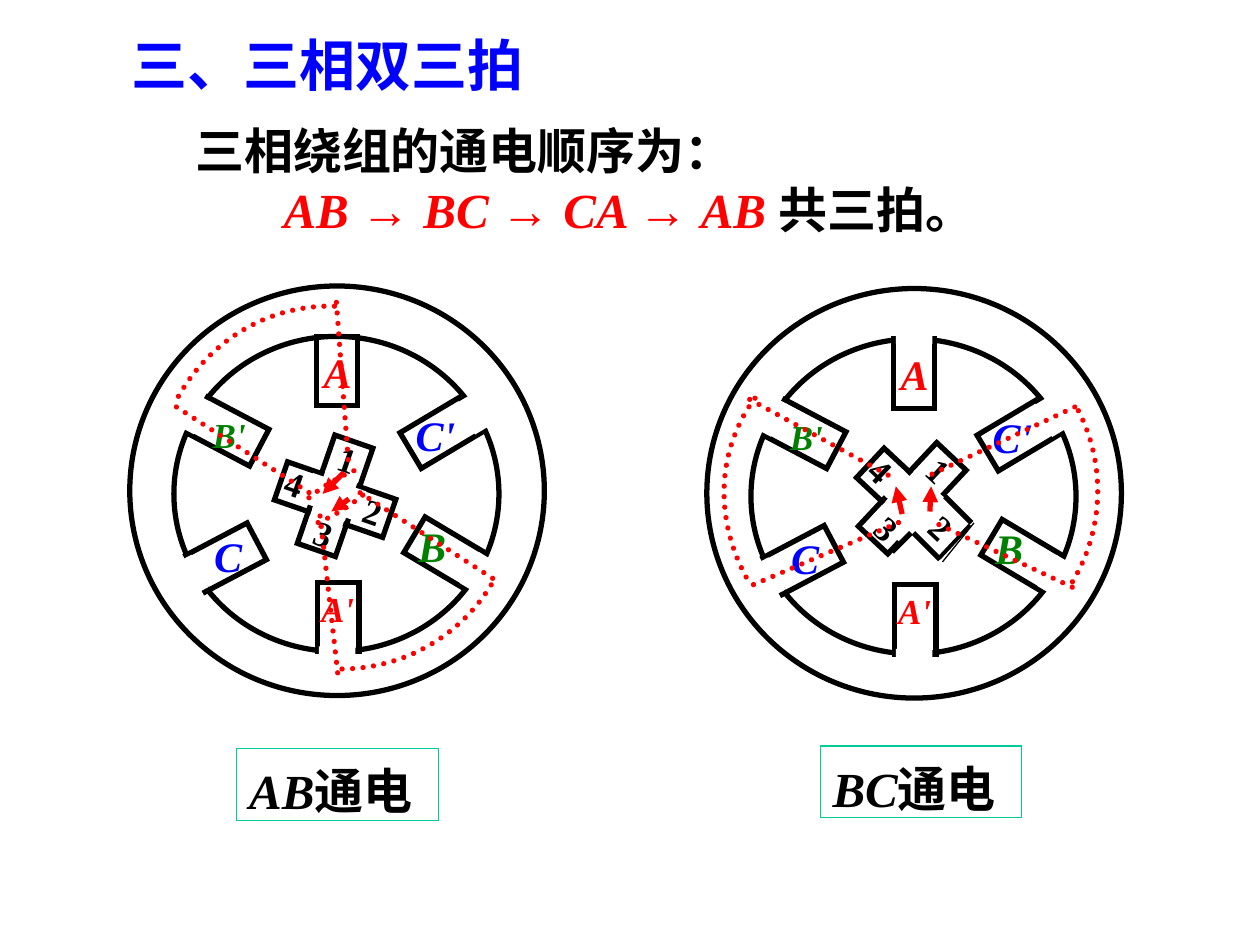
from lxml import etree
from pptx import Presentation
from pptx.dml.color import RGBColor
from pptx.enum.dml import MSO_LINE
from pptx.enum.shapes import MSO_CONNECTOR, MSO_SHAPE
from pptx.enum.text import MSO_ANCHOR, MSO_AUTO_SIZE, PP_ALIGN
from pptx.oxml.ns import qn
from pptx.util import Inches, Pt

RECTANGLE, OVAL, ARC = MSO_SHAPE.RECTANGLE, MSO_SHAPE.OVAL, MSO_SHAPE.ARC
STRAIGHT = MSO_CONNECTOR.STRAIGHT
ROUND_DOT = MSO_LINE.ROUND_DOT
TOP = MSO_ANCHOR.TOP
NO_AUTOFIT = MSO_AUTO_SIZE.NONE
LEFT, JUSTIFY = PP_ALIGN.LEFT, PP_ALIGN.JUSTIFY

COLORS = {"black": "000000", "white": "FFFFFF", "red": "FF0000",
          "blue": "0000FF", "green": "008000", "teal": "00CC99"}
SERIF, SANS, CHINESE = "Times New Roman", "Arial", "Noto Sans CJK SC"
COLUMNS, ROWS = 100, 75
LINE_SPACING = 1.2

# Stator parts in grid cells, placed for the left motor: left, top, rotation.
SLOTS = [(25.1, 26.7, 0), (25.2, 46.2, 0), (33.3, 31.6, 239.2),
         (16.5, 31.5, 297.8), (33.6, 41.1, 120.8), (16.3, 41.5, 62.2)]
TOP_MOUTH = (25.3, 24.8, 0)
MOUTHS = [(25.3, 51.3, 0), (36.5, 31.5, 239.2), (13.6, 31.5, 297.8),
          (36.8, 44.5, 120.8), (13.4, 44.7, 62.2)]
# Text, left, top, width, height, size, color.
WINDINGS = [("C", 16, 41.6, 5.9, 5, 24, "blue"), ("A'", 24.5, 46.1, 4.6, 4.4, 20, "red"),
            ("B", 32.2, 40.8, 4.2, 5, 24, "green"), ("B'", 15.9, 32.3, 4.6, 4.4, 20, "green"),
            ("C'", 32, 32, 5.1, 5, 24, "blue"), ("A", 24.7, 27, 4.2, 5, 24, "red")]

# Steps: "hub" holds the two white boxes that open the middle of the rotor cross,
# "flux_arcs" hold box, rotation, start and end angle.
AB_STEP = {
    "offset": (0, 0), "angle": 19.1, "mouths": MOUTHS,
    "hub": [(25, 37.5, 2.7, 5), (24.3, 38.2, 4.5, 2.5)],
    "teeth": [("3", 24, 40.2), ("4", 21.7, 36.2), ("1", 25.9, 34.3), ("2", 27.9, 38.4)],
    "flux_arcs": [((12.2, 24.3, 27.9, 29.3), 0, 212, 274),
                  ((19.5, 36.3, 27.9, 27.7), 0, 230, 248),
                  ((13.1, 25.4, 27.9, 27.7), 0, 31, 92),
                  ((5.8, 14.9, 27.9, 27.7), 0, 49.4, 67.8)],
    "flux_lines": [(14, 32.3, 25, 39.4), (26.7, 24, 27.7, 37.3),
                   (39.1, 45.9, 28.1, 38.8), (26.8, 53.4, 25.4, 40.9)],
    "arrows": [(27.3, 37.5, 25.6, 39.2), (27.7, 39.6, 26.3, 40.6)],
    "edges": [], "label": ("AB", 18.8, 59.4),
}
BC_STEP = {
    "offset": (45.8, 0.2), "angle": 43.1, "mouths": [TOP_MOUTH] + MOUTHS,
    "hub": [(70.1, 38.7, 6, 5), (70.1, 38.4, 4.5, 2.5)],
    "teeth": [("3", 68.7, 39.8), ("4", 68.2, 35.2), ("1", 72.8, 35.2), ("2", 73, 39.7)],
    "flux_arcs": [((58.4, 25.6, 26.7, 29.3), 303.1, 213, 274.4),
                  ((59.3, 25.2, 27.9, 27.7), 302, 30.4, 92.1)],
    "flux_lines": [(59.8, 46.4, 71.5, 41.4), (59.5, 31.7, 71.2, 38.1),
                   (85.3, 32.3, 73.4, 37.9), (85.1, 46.6, 73.8, 41.3)],
    "arrows": [(71.6, 40.8, 71.1, 38.6), (73.8, 40.6, 73.9, 38.6)],
    "edges": [(75, 39.4, 77.1, 41.5, 3), (72.5, 42.3, 74.6, 44.4, 3),
              (77.3, 41.5, 74.8, 44.6, 0.75), (72.3, 42.3, 70.8, 43.8, 3)],
    "label": ("BC", 65.1, 59.2),
}


def rgb(name):
    return RGBColor.from_string(COLORS[name])


class MotorSlide:
    """Draws on one slide, with lengths in cells of the grid."""

    def __init__(self, presentation):
        self.cell_width = presentation.slide_width / COLUMNS
        self.cell_height = presentation.slide_height / ROWS
        self.slide = presentation.slides.add_slide(presentation.slide_layouts[1])
        self.shapes = self.slide.shapes

    def to_emu(self, *lengths):
        """Turn alternating columns and rows into slide lengths."""
        cells = (self.cell_width, self.cell_height)
        return [round(length * cells[i % 2]) for i, length in enumerate(lengths)]

    def outline(self, shape, color, width, dotted=False, arrow=False):
        shape.line.color.rgb = rgb(color)
        shape.line.width = Pt(width)
        if dotted:
            shape.line.dash_style = ROUND_DOT
        line = shape.element.spPr.find(qn("a:ln"))
        if dotted:
            line.set("cap", "rnd")
        etree.SubElement(line, qn("a:round" if dotted else "a:miter"))
        if arrow:
            etree.SubElement(line, qn("a:tailEnd"), type="triangle")

    def shape(self, kind, box, rotation=0, fill=None, line=None, width=3, dotted=False):
        shape = self.shapes.add_shape(kind, *self.to_emu(*box))
        shape.rotation = rotation
        shape.shadow.inherit = False
        if fill:
            shape.fill.solid()
            shape.fill.fore_color.rgb = rgb(fill)
        else:
            shape.fill.background()
        if line:
            self.outline(shape, line, width, dotted)
        else:
            shape.line.fill.background()
        return shape

    def arc(self, box, rotation, start, end):
        shape = self.shape(ARC, box, rotation, line="red", dotted=True)
        for index, angle in enumerate((start, end)):
            shape.adjustments[index] = angle * 0.6  # 60000 units a degree, scaled by 100000

    def line(self, ends, color="red", width=3, dotted=False, arrow=False):
        connector = self.shapes.add_connector(STRAIGHT, *self.to_emu(*ends))
        self.outline(connector, color, width, dotted, arrow)
        etree.SubElement(connector.element.spPr, qn("a:effectLst"))

    def frame(self, shape, wrap=True, top_inset=0.05):
        frame = shape.text_frame
        frame.word_wrap = wrap
        frame.auto_size = NO_AUTOFIT
        frame.vertical_anchor = TOP
        frame.margin_left = frame.margin_right = Inches(0.1)
        frame.margin_top, frame.margin_bottom = Inches(top_inset), Inches(0.05)
        return frame

    def add_runs(self, paragraph, pieces, size, spaced=False, align=LEFT):
        """Add runs given as text, font, color and italic."""
        paragraph.alignment = align
        paragraph.space_before = Pt(0)
        if spaced:
            paragraph.line_spacing = Pt(size * LINE_SPACING)
        for text, font, color, italic in pieces:
            run = paragraph.add_run()
            run.text = text
            run.font.name, run.font.size = font, Pt(size)
            run.font.bold, run.font.italic = True, italic
            run.font.color.rgb = rgb(color)
            east_asian = etree.SubElement(run.font._element, qn("a:ea"))
            east_asian.set("typeface", font)

    def text(self, text, box, size, color, italic=True, rotation=0):
        shape = self.shapes.add_textbox(*self.to_emu(*box))
        shape.rotation = rotation
        frame = self.frame(shape, wrap=len(text) == 1)
        self.add_runs(frame.paragraphs[0], [(text, SERIF, color, italic)], size)

    def placeholder(self, index, box, paragraphs, size):
        """Fill a placeholder with paragraphs given as first-line indent and pieces."""
        shape = self.slide.placeholders[index]
        shape.left, shape.top, shape.width, shape.height = self.to_emu(*box)
        frame = self.frame(shape)
        for number, (indent, pieces) in enumerate(paragraphs):
            paragraph = frame.add_paragraph() if number else frame.paragraphs[0]
            self.add_runs(paragraph, pieces, size, spaced=True)
            properties = paragraph._p.get_or_add_pPr()
            properties.set("marL", "0")
            properties.set("indent", str(self.to_emu(indent)[0]))
            etree.SubElement(properties, qn("a:buNone"))

    def label(self, phases, left, top):
        shape = self.shape(RECTANGLE, (left, top, 16, 5.7), line="teal", width=0.75)
        pieces = [(phases, SERIF, "black", True), ("通电", CHINESE, "black", False)]
        frame = self.frame(shape, top_inset=0.1)
        self.add_runs(frame.paragraphs[0], pieces, 28, spaced=True, align=JUSTIFY)

    def stator(self, dx, dy, mouths):
        for left, top, width, height in ((13.8, 26.7, 25.8, 25), (10.3, 22.7, 32.9, 32.5)):
            self.shape(OVAL, (left + dx, top + dy, width, height), line="black")
        for left, top, angle in SLOTS:
            self.shape(RECTANGLE, (left + dx, top + dy, 3.3, 5.5), angle, line="black")
        for left, top, angle in mouths:
            self.shape(RECTANGLE, (left + dx, top + dy, 2.9, 2.3), angle, fill="white")
        for text, left, top, width, height, size, color in WINDINGS:
            self.text(text, (left + dx, top + dy, width, height), size, color)

    def rotor(self, dx, dy, angle, hub, teeth):
        for top, turn in ((34.8, 0), (35.1, 270)):
            self.shape(RECTANGLE, (25 + dx, top + dy, 3.2, 9.1), angle + turn, line="black")
        for box in hub:
            self.shape(RECTANGLE, box, angle, fill="white")
        for digit, left, top in teeth:
            self.text(digit, (left, top, 3.5, 4.4), 20, "black", False, angle)

    def motor(self, step):
        self.stator(*step["offset"], step["mouths"])
        self.rotor(*step["offset"], step["angle"], step["hub"], step["teeth"])
        for arc in step["flux_arcs"]:
            self.arc(*arc)
        for ends in step["flux_lines"]:
            self.line(ends, dotted=True)
        for ends in step["arrows"]:
            self.line(ends, arrow=True)
        self.label(*step["label"])
        for *ends, width in step["edges"]:
            self.line(ends, "black", width)


def main():
    presentation = Presentation()
    presentation.slide_width, presentation.slide_height = Inches(10), Inches(7.5)
    page = MotorSlide(presentation)
    page.placeholder(0, (9.4, 1.95, 35, 6.4),
                     [(0, [("三、三相双三拍", CHINESE, "blue", False)])], 32)
    sequence = []
    for phases in ("AB ", "BC ", "CA "):
        sequence += [(phases, SERIF, "red", True), ("→ ", SANS, "red", False)]
    sequence += [("AB ", SERIF, "red", True), ("共三拍。", CHINESE, "black", False)]
    page.placeholder(1, (14.5, 9.1, 61.8, 10.4),
                     [(0, [("三相绕组的通电顺序为：", CHINESE, "black", False)]),
                      (7, sequence)], 28)
    for step in (AB_STEP, BC_STEP):
        page.motor(step)
    presentation.save("out.pptx")


if __name__ == "__main__":
    main()
